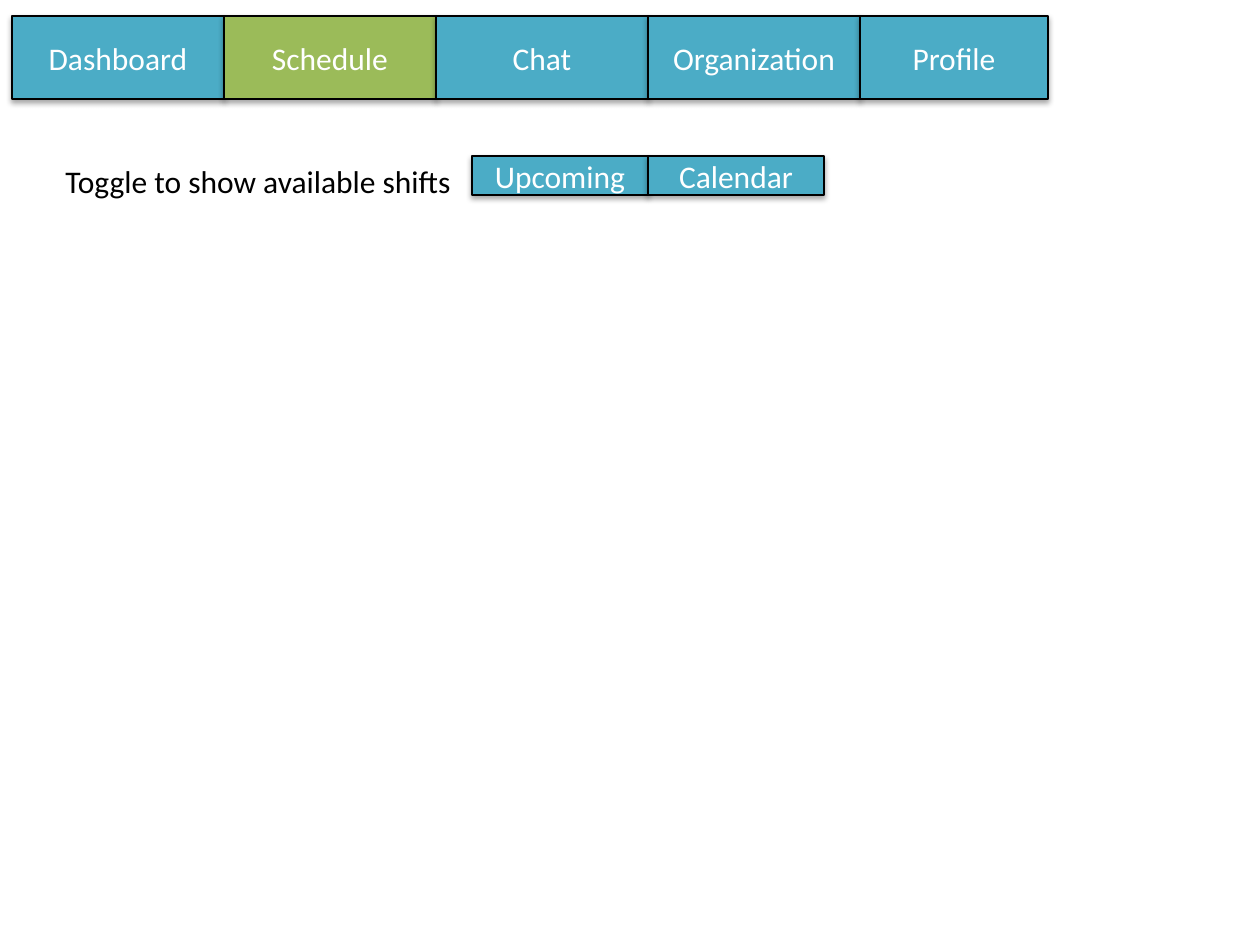
from lxml import etree
from pptx import Presentation
from pptx.dml.color import RGBColor
from pptx.enum.shapes import MSO_SHAPE
from pptx.enum.text import MSO_ANCHOR, MSO_AUTO_SIZE, PP_ALIGN
from pptx.oxml.ns import qn
from pptx.util import Inches, Pt

RECT = MSO_SHAPE.RECTANGLE
MIDDLE = MSO_ANCHOR.MIDDLE
GROW = MSO_AUTO_SIZE.SHAPE_TO_FIT_TEXT
LEFT, CENTER = PP_ALIGN.LEFT, PP_ALIGN.CENTER
TEAL, GREEN, BLACK, WHITE = "4BACC6", "9BBB59", "000000", "FFFFFF"


def px(n):
    return Inches(n / 126)


def rgb(color):
    return RGBColor.from_string(color)


class Page:
    font = "Calibri"
    size = 18

    def __init__(self, prs):
        self.slide = prs.slides.add_slide(prs.slide_layouts[6])

    def set_text(self, sp, text, color, align):
        p = sp.text_frame.paragraphs[0]
        p.text = text
        p.alignment = align
        font = p.runs[0].font
        font.name, font.size = self.font, Pt(self.size)
        font.color.rgb = rgb(color)

    def add_shadow(self, sp):
        sp.shadow.inherit = False
        effects = sp._element.spPr.find(qn("a:effectLst"))
        shadow = etree.SubElement(effects, qn("a:outerShdw"), blurRad="40000",
                                  dist="23000", dir="5400000", rotWithShape="0")
        color = etree.SubElement(shadow, qn("a:srgbClr"), val=BLACK)
        etree.SubElement(color, qn("a:alpha"), val="35000")

    def button(self, text, x, y, w, h, fill):
        sp = self.slide.shapes.add_shape(RECT, px(x), px(y), px(w), px(h))
        sp.fill.solid()
        sp.fill.fore_color.rgb = rgb(fill)
        sp.line.color.rgb = rgb(BLACK)
        sp.line.width = Pt(0.75)
        self.add_shadow(sp)
        sp.text_frame.vertical_anchor = MIDDLE
        self.set_text(sp, text, WHITE, CENTER)

    def button_row(self, buttons, x, y, h):
        for text, w, fill in buttons:
            self.button(text, x, y, w, h, fill)
            x += w

    def label(self, text, x, y, w, h):
        sp = self.slide.shapes.add_textbox(px(x), px(y), px(w), px(h))
        tf = sp.text_frame
        tf.word_wrap = False
        tf.auto_size = GROW
        self.set_text(sp, text, BLACK, LEFT)


prs = Presentation()
prs.slide_width, prs.slide_height = Inches(10), Inches(7.5)
page = Page(prs)

page.button_row([
    ("Dashboard", 212, TEAL),
    ("Schedule", 212, GREEN),
    ("Chat", 212, TEAL),
    ("Organization", 212, TEAL),
    ("Profile", 188, TEAL),
], x=12, y=16, h=83)
page.button_row([("Upcoming", 176, TEAL), ("Calendar", 176, TEAL)],
                x=472, y=156, h=39)
page.label("Toggle to show available shifts", 53, 156, 419, 51)

prs.save("out.pptx")
